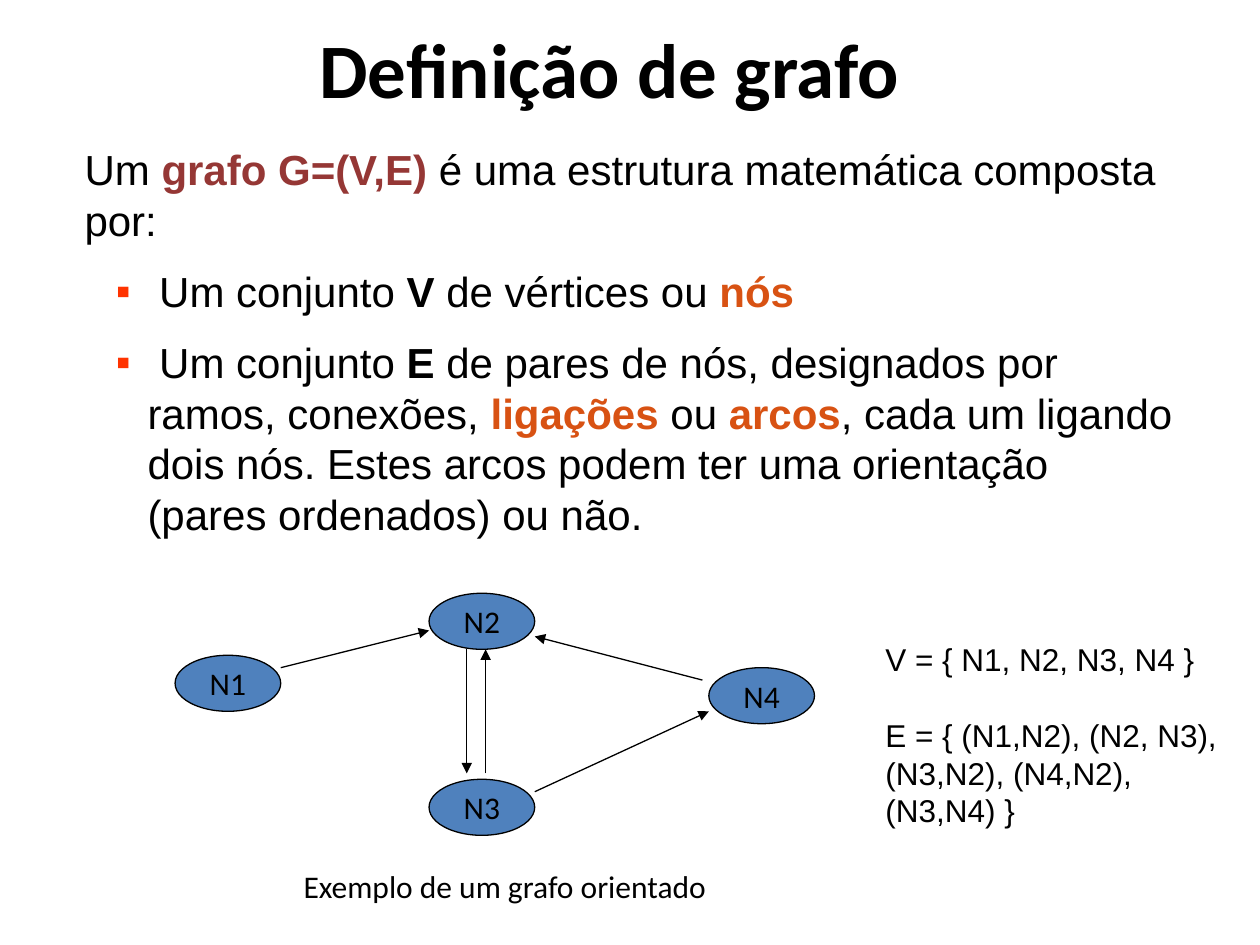
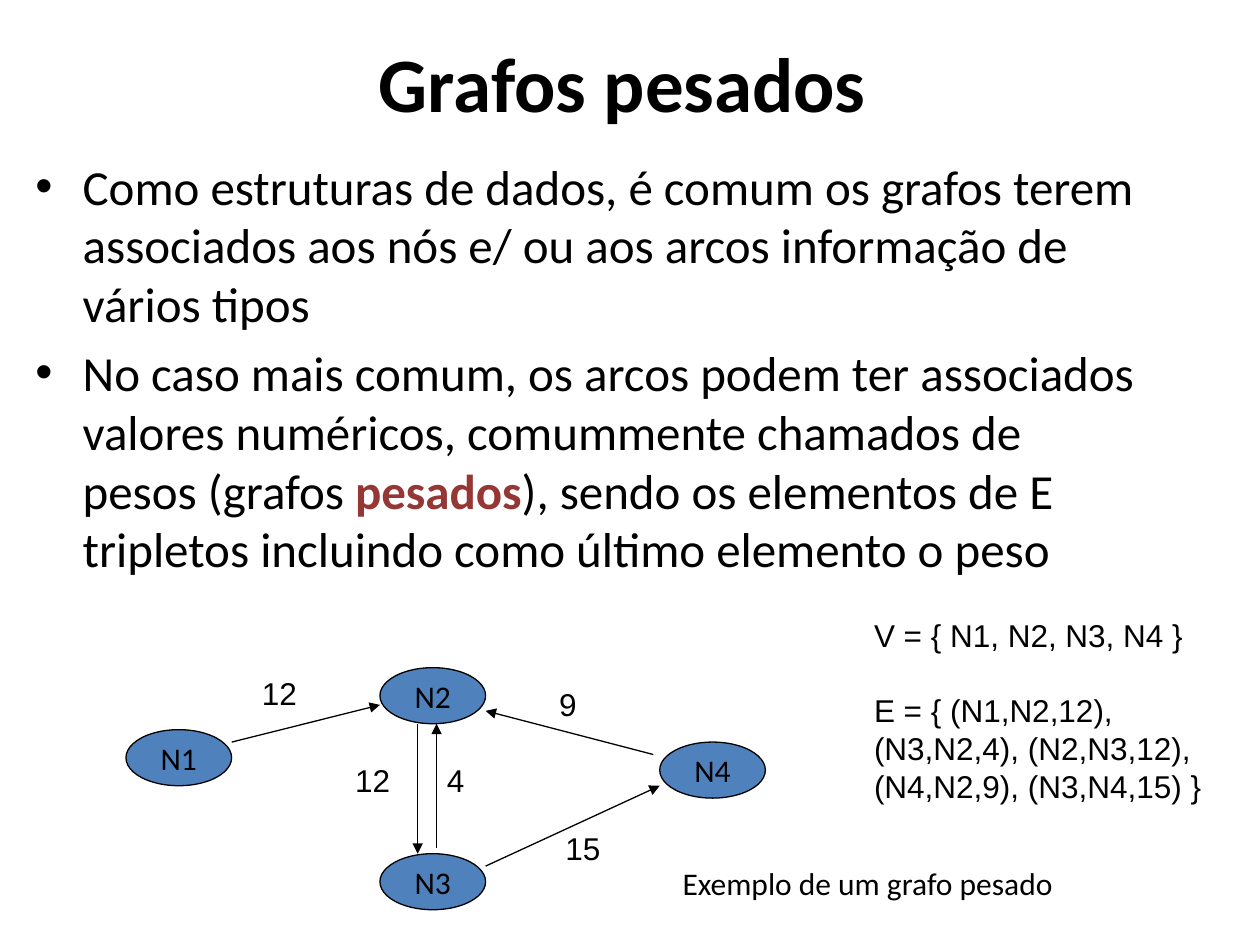
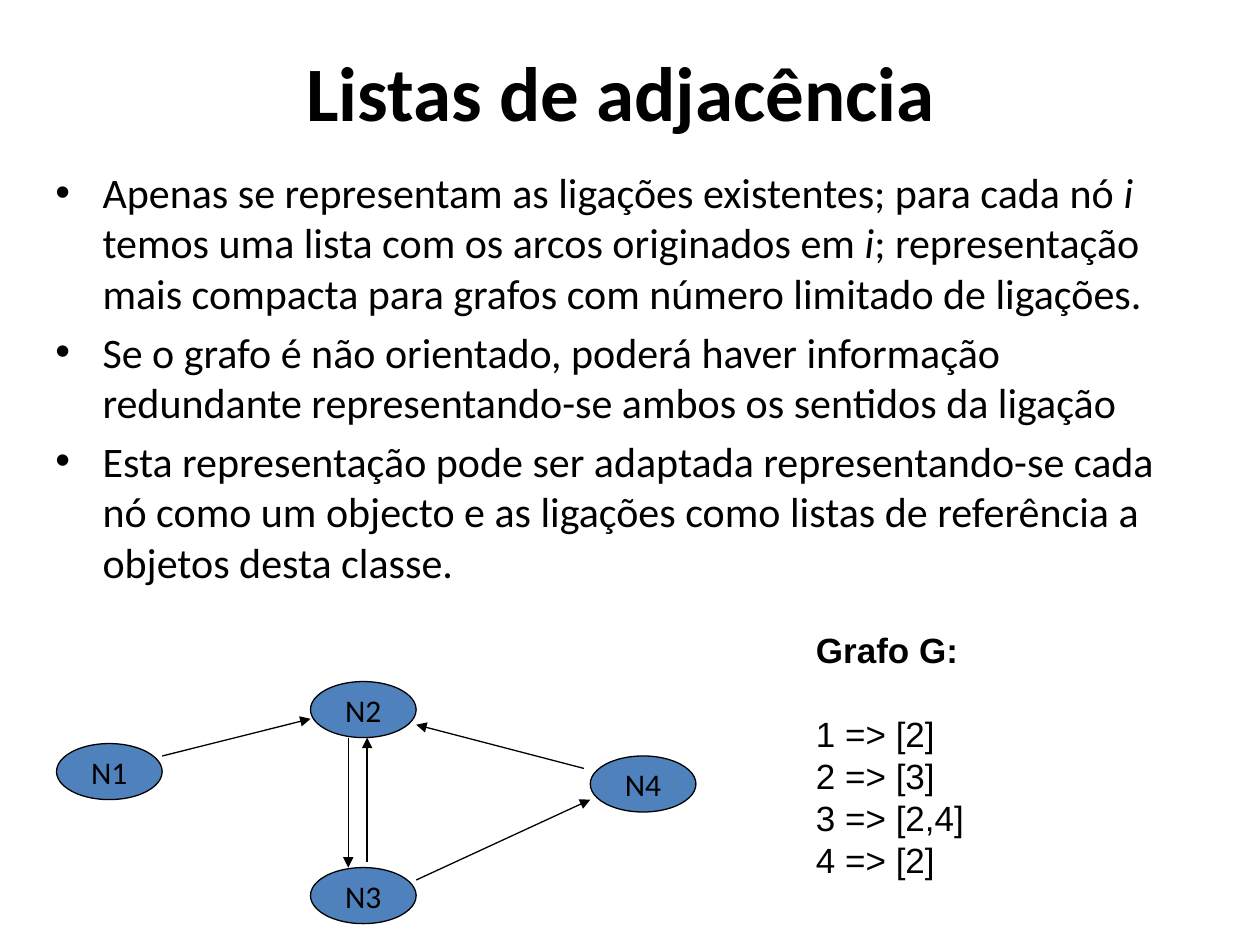
from lxml import etree
from pptx import Presentation
from pptx.dml.color import RGBColor
from pptx.enum.shapes import MSO_CONNECTOR, MSO_SHAPE
from pptx.enum.text import MSO_ANCHOR, MSO_AUTO_SIZE, PP_ALIGN
from pptx.oxml.ns import qn
from pptx.util import Cm, Pt

BLACK = RGBColor(0x00, 0x00, 0x00)
NODE_BLUE = RGBColor(0x4F, 0x81, 0xBD)
DARK_RED = RGBColor(0x95, 0x37, 0x35)
ORANGE = RGBColor(0xD8, 0x52, 0x13)
BULLET_RED = "FF3300"

TERM = {"bold": True, "color": DARK_RED}
KEYWORD = {"bold": True, "color": ORANGE}
BOLD = {"bold": True}
ITALIC = {"italic": True}

# Offsets in cm from the left of N1 and the top of N2
NODE_SIZE = (2.13, 1.13)
NODES = {"N1": (0, 1.25), "N2": (5.12, 0), "N3": (5.12, 3.75), "N4": (10.76, 1.5)}
ARCS = [
    ((2.13, 1.5), (5.12, 0.75)),
    ((6.26, 3.63), (6.26, 1.13)),
    ((7.25, 4), (10.76, 2.38)),
    ((10.63, 1.75), (7.25, 0.87)),
]

SLIDES = [
    {
        "title": "Definição de grafo",
        "title_at": (0.86, -0.23),
        "body_at": (1.45, 2.77, 22.5, 8.46),
        "body_font": ("Arial", 24),
        "body": [
            ["Um ", ("grafo G=(V,E)", TERM),
             " é uma estrutura matemática composta por:"],
            [" Um conjunto ", ("V", BOLD), " de vértices ou ", ("nós", KEYWORD)],
            [" Um conjunto ", ("E ", BOLD),
             "de pares de nós, designados por ramos, conexões, ",
             ("ligações", KEYWORD), " ou ", ("arcos", KEYWORD),
             ", cada um ligando dois nós. Estes arcos podem ter uma orientação "
             "(pares ordenados) ou não."],
        ],
        "graph_at": (3.53, 11.96),
        "n2_n3_end": 3.63,
        "sets_at": (17.6, 12.78, 7.24, 4.11),
        "sets_size": 18,
        "sets": [["V = { N1, N2, N3, N4 }"],
                 ["E = { (N1,N2), (N2, N3), (N3,N2), (N4,N2), (N3,N4) }"]],
        "caption": ("Exemplo de um grafo orientado", (5.87, 17.35, 8.76, 1.02)),
    },
    {
        "title": "Grafos pesados",
        "title_at": (1.12, 0.05),
        "body_at": (0.46, 3.02, 22.86, 12.57),
        "body_font": ("Calibri", 28),
        "body": [
            ["Como estruturas de dados, é comum os grafos terem associados aos nós "
             "e/ ou aos arcos informação de vários tipos"],
            ["No caso mais comum, os arcos podem ter associados valores numéricos, "
             "comummente chamados de pesos (grafos ", ("pesados", TERM),
             "), sendo os elementos de E tripletos incluindo como último elemento "
             "o peso"],
        ],
        "graph_at": (2.54, 13.46),
        "n2_n3_end": 3.75,
        "weights": [("12", 5.03, 13.46, 1.22), ("4", 8.76, 15.21, 0.86),
                    ("15", 11.15, 16.59, 1.22), ("9", 11.02, 13.69, 0.86),
                    ("12", 6.91, 15.21, 1.22)],
        "sets_at": (17.37, 12.29, 7.24, 4.11),
        "sets_size": 18,
        "sets": [["V = { N1, N2, N3, N4 }"],
                 ["E = { (N1,N2,12), (N3,N2,4), (N2,N3,12), (N4,N2,9), (N3,N4,15) }"]],
        "caption": ("Exemplo de um grafo pesado", (13.51, 17.3, 8.1, 1.02)),
    },
    {
        "title": "Listas de adjacência",
        "title_at": (1.09, 0.23),
        "body_at": (0.86, 3.23, 22.86, 12.57),
        "body_font": ("Calibri", 24),
        "body": [
            ["Apenas se representam as ligações existentes; para cada nó ",
             ("i", ITALIC), " temos uma lista com os arcos originados em ",
             ("i", ITALIC), "; representação mais compacta para grafos com número "
             "limitado de ligações."],
            ["Se o grafo é não orientado, poderá haver informação redundante "
             "representando-se ambos os sentidos da ligação"],
            ["Esta representação pode ser adaptada representando-se cada nó como um "
             "objecto e as ligações como listas de referência a objetos desta classe."],
        ],
        "graph_at": (1.14, 13.74),
        "n2_n3_end": 3.75,
        "sets_at": (16.2, 12.55, 7.52, 5.38),
        "sets_size": 20,
        "sets": [[("Grafo G:", BOLD)], ["1 => [2]"], ["2 => [3]"],
                 ["3 => [2,4]"], ["4 => [2]"]],
    },
]


def write_paragraphs(frame, paragraphs, font_name, size):
    """Each paragraph is a list of plain strings and (text, style) pairs."""
    for index, parts in enumerate(paragraphs):
        paragraph = frame.add_paragraph() if index else frame.paragraphs[0]
        paragraph.font.name = font_name
        paragraph.font.size = Pt(size)
        paragraph.font.color.rgb = BLACK
        for part in parts:
            text, style = (part, {}) if isinstance(part, str) else part
            run = paragraph.add_run()
            run.text = text
            run.font.name = font_name
            run.font.size = Pt(size)
            run.font.color.rgb = style.get("color", BLACK)
            run.font.bold = style.get("bold")
            run.font.italic = style.get("italic")


def add_text(slide, box, paragraphs, font_name, size, wrap=False):
    frame = slide.shapes.add_textbox(*map(Cm, box)).text_frame
    frame.word_wrap = wrap
    write_paragraphs(frame, paragraphs, font_name, size)
    return frame


prs = Presentation()
prs.slide_width, prs.slide_height = Cm(25.4), Cm(19.05)

for content in SLIDES:
    slide = prs.slides.add_slide(prs.slide_layouts[1])

    title = slide.shapes.title
    title.left, title.top = map(Cm, content["title_at"])
    title.width, title.height = Cm(22.86), Cm(3.18)
    write_paragraphs(title.text_frame, [[(content["title"], BOLD)]], "Calibri", 44)

    body = slide.placeholders[1]
    body.left, body.top, body.width, body.height = map(Cm, content["body_at"])
    body.text_frame.auto_size = MSO_AUTO_SIZE.NONE
    write_paragraphs(body.text_frame, content["body"], *content["body_font"])

    graph_x, graph_y = content["graph_at"]
    for node, (x, y) in NODES.items():
        ellipse = slide.shapes.add_shape(
            MSO_SHAPE.OVAL, Cm(graph_x + x), Cm(graph_y + y), *map(Cm, NODE_SIZE))
        ellipse.shadow.inherit = False
        ellipse.fill.solid()
        ellipse.fill.fore_color.rgb = NODE_BLUE
        ellipse.line.color.rgb = BLACK
        ellipse.line.width = Pt(0.75)
        label = ellipse.text_frame
        label.word_wrap = False
        label.vertical_anchor = MSO_ANCHOR.MIDDLE
        write_paragraphs(label, [[node]], "Calibri", 18)
        label.paragraphs[0].alignment = PP_ALIGN.CENTER

    n2_to_n3 = ((5.88, 1.13), (5.88, content["n2_n3_end"]))
    for (x1, y1), (x2, y2) in ARCS + [n2_to_n3]:
        arc = slide.shapes.add_connector(
            MSO_CONNECTOR.STRAIGHT, Cm(graph_x + x1), Cm(graph_y + y1),
            Cm(graph_x + x2), Cm(graph_y + y2))
        arc.line.color.rgb = BLACK
        arc.line.width = Pt(0.75)
        etree.SubElement(arc.line._get_or_add_ln(), qn("a:tailEnd"), type="triangle")
        etree.SubElement(arc._element.spPr, qn("a:effectLst"))

    for weight, x, y, width in content.get("weights", []):
        add_text(slide, (x, y, width, 1.02), [[weight]], "Arial", 18)

    sets = add_text(slide, content["sets_at"], content["sets"], "Arial",
                    content["sets_size"], wrap=True)
    sets.paragraphs[1].space_before = Pt(1.2 * content["sets_size"])

    if "caption" in content:
        caption, box = content["caption"]
        add_text(slide, box, [[caption]], "Calibri", 18)

# The definition opens with a plain sentence, followed by red square bullets
intro, *items = prs.slides[0].placeholders[1].text_frame.paragraphs
intro_props = intro._p.get_or_add_pPr()
intro_props.set("marL", "0")
intro_props.set("indent", "0")
intro_props.insert(0, etree.Element(qn("a:buNone")))
for item in items:
    props = item._p.get_or_add_pPr()
    props.set("marL", str(Cm(1.27)))
    props.set("indent", str(-Cm(0.64)))
    colour = etree.Element(qn("a:buClr"))
    etree.SubElement(colour, qn("a:srgbClr"), val=BULLET_RED)
    props.insert(0, colour)
    props.insert(1, etree.Element(qn("a:buFont"), typeface="Arial"))
    props.insert(2, etree.Element(qn("a:buChar"), char="▪"))
    item.space_before = Pt(12)

prs.save("out.pptx")
